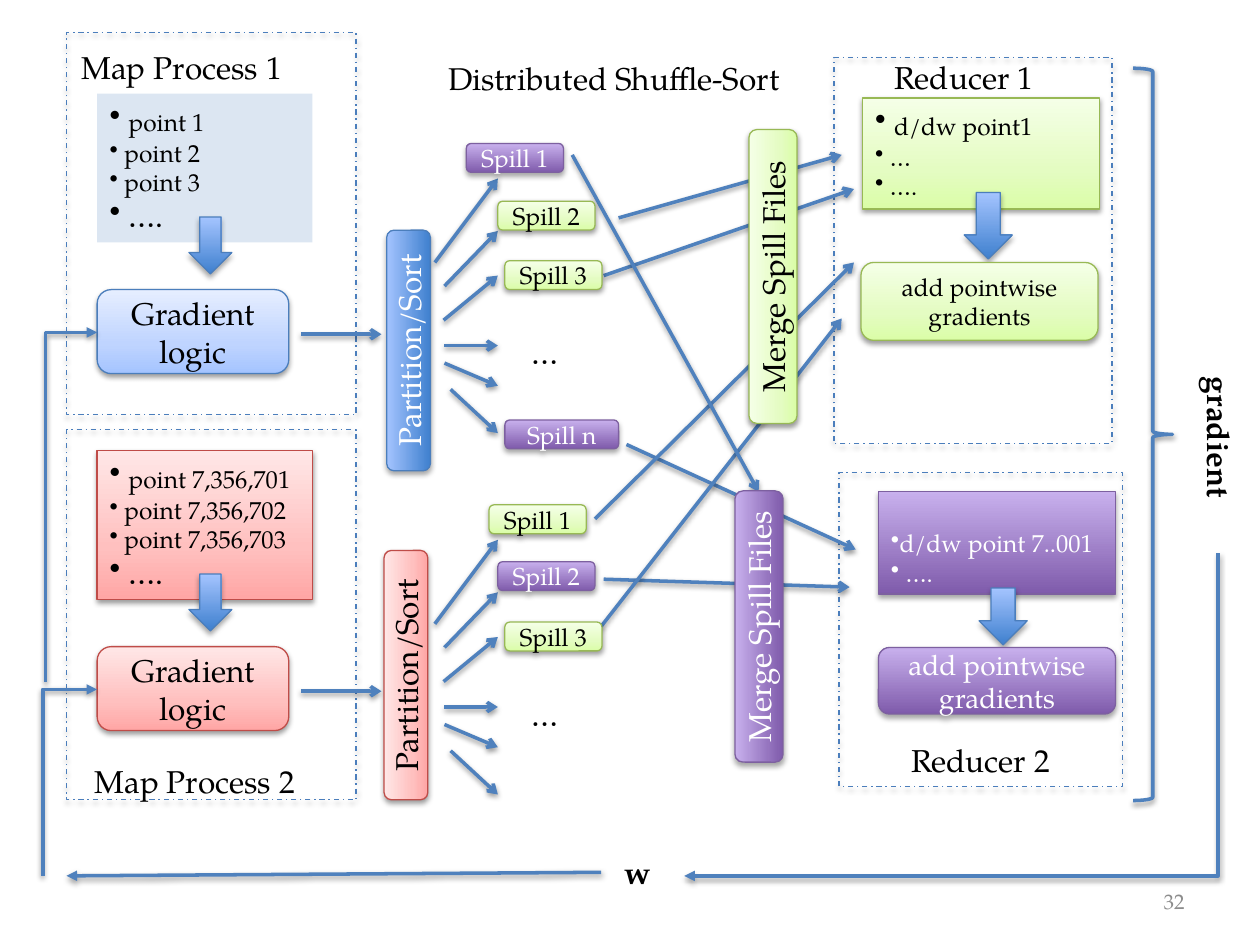
from lxml.etree import SubElement
from pptx import Presentation
from pptx.dml.color import RGBColor
from pptx.enum.dml import MSO_LINE
from pptx.enum.shapes import MSO_CONNECTOR, MSO_SHAPE
from pptx.enum.text import MSO_ANCHOR, MSO_AUTO_SIZE, PP_ALIGN
from pptx.oxml.ns import qn
from pptx.util import Pt

RECT, ROUND = MSO_SHAPE.RECTANGLE, MSO_SHAPE.ROUNDED_RECTANGLE
DOWN, BRACE = MSO_SHAPE.DOWN_ARROW, MSO_SHAPE.RIGHT_BRACE
STRAIGHT, ELBOW = MSO_CONNECTOR.STRAIGHT, MSO_CONNECTOR.ELBOW
DASH_DOT = MSO_LINE.DASH_DOT
TOP, MIDDLE = MSO_ANCHOR.TOP, MSO_ANCHOR.MIDDLE
LEFT, CENTER, RIGHT = PP_ALIGN.LEFT, PP_ALIGN.CENTER, PP_ALIGN.RIGHT
NO_FIT = MSO_AUTO_SIZE.NONE

COLORS = {"text": "000000", "white": "FFFFFF", "number": "8C8C8C", "arrow": "4F81BD",
          "frame": "4B7EBC", "pale": "DCE6F2", "red": "BF4C48", "green": "98B955",
          "purple": "7D60A0"}
GRADIENTS = {
    "blue": [(0, "3F80CE"), (100, "A4C4FF")],
    "purple": [(0, "7F5BAB"), (100, "C8B0ED")],
    "sky": [(0, "A4C4FF"), (35, "BFD4FF"), (100, "E6EEFF")],
    "red": [(0, "FFA6A5"), (35, "FFC0BF"), (100, "FFE7E7")],
    "green": [(0, "DAFDA7"), (35, "E4FCC2"), (100, "F5FFE7")],
}
EDGES = {"blue": "frame", "sky": "frame", "red": "red", "green": "green", "purple": "purple"}


class Diagram:
    """Draws the elements of one slide in a shared style."""

    font = "TeX Gyre Pagella"

    def __init__(self, slide):
        self.slide = slide
        self.shapes = slide.shapes

    def color(self, name):
        return RGBColor.from_string(COLORS[name])

    def shadow(self, s, strong=False):
        effects = SubElement(s._element.spPr, qn("a:effectLst"))
        shade = SubElement(effects, qn("a:outerShdw"), blurRad=str(Pt(3.1)),
                           dist=str(Pt(1.8 if strong else 1.6)), dir="5400000",
                           rotWithShape="0")
        clr = SubElement(shade, qn("a:srgbClr"), val=COLORS["text"])
        SubElement(clr, qn("a:alpha"), val="35000" if strong else "38000")

    def run(self, p, text, size, color="text", bold=False):
        r = p.add_run()
        r.text = text
        r.font.name, r.font.size, r.font.bold = self.font, Pt(size), bold
        r.font.color.rgb = self.color(color)

    def set_text(self, s, text, size=18, color="text", align=LEFT, anchor=TOP, wrap=True,
                 bold=False):
        tf = s.text_frame
        tf.word_wrap, tf.auto_size, tf.vertical_anchor = wrap, NO_FIT, anchor
        p = tf.paragraphs[0]
        p.alignment = align
        self.run(p, text, size, color, bold)

    def title(self, text, box):
        s = self.shapes.title
        s.left, s.top, s.width, s.height = map(Pt, box)
        self.set_text(s, text, wrap=False)

    def label(self, text, box, rotation=0, **style):
        s = self.shapes.add_textbox(*map(Pt, box))
        s.rotation = rotation
        self.set_text(s, text, **style)

    def outline(self, kind, box, color="frame", width=0.75, dash=None):
        s = self.shapes.add_shape(kind, *map(Pt, box))
        s.fill.background()
        s.line.color.rgb, s.line.width = self.color(color), Pt(width)
        if dash:
            s.line.dash_style = dash
        self.shadow(s, bool(dash))

    def block(self, kind, box, style):
        s = self.shapes.add_shape(kind, *map(Pt, box))
        if style == "pale":
            s.fill.solid()
            s.fill.fore_color.rgb = self.color(style)
            s.line.fill.background()
            s.shadow.inherit = False
            return s
        s.fill.gradient()
        s.fill.gradient_angle = 90
        stops = s._element.spPr.find(qn("a:gradFill")).find(qn("a:gsLst"))
        stops.clear()
        for position, value in GRADIENTS[style]:
            stop = SubElement(stops, qn("a:gs"), pos=str(position * 1000))
            SubElement(stop, qn("a:srgbClr"), val=value)
        s.line.color.rgb, s.line.width = self.color(EDGES[style]), Pt(0.75)
        self.shadow(s, style in ("blue", "purple"))
        return s

    def box(self, text, box, style, size=18):
        s = self.block(ROUND, box, style)
        ink = "white" if style in ("blue", "purple") else "text"
        self.set_text(s, text, size, ink, CENTER, MIDDLE)
        return s

    def bar(self, text, box, style):
        x, y, w, h = box
        s = self.box(text, (x + (w - h) / 2, y + (h - w) / 2, h, w), style)
        s.rotation = 270

    def bullets(self, lines, box, style, color="text", top=3.6):
        s = self.block(RECT, box, style)
        tf = s.text_frame
        tf.word_wrap, tf.auto_size, tf.vertical_anchor = True, NO_FIT, TOP
        tf.margin_top = Pt(top)
        for i, runs in enumerate(lines):
            p = tf.add_paragraph() if i else tf.paragraphs[0]
            p.alignment = LEFT
            SubElement(p._p.get_or_add_pPr(), qn("a:buChar"), char="•")
            for text, size in runs:
                self.run(p, text, size, color)

    def style_line(self, c, head):
        c.line.color.rgb, c.line.width = self.color("arrow"), Pt(2)
        SubElement(c.line._get_or_add_ln(), qn("a:tailEnd"), type=head)
        self.shadow(c)

    def arrow(self, x1, y1, x2, y2, head="arrow"):
        self.style_line(self.shapes.add_connector(STRAIGHT, *map(Pt, (x1, y1, x2, y2))), head)

    def elbow(self, x1, y1, x2, y2):
        cx, cy, w, h = (x1 + x2) / 2, (y1 + y2) / 2, y2 - y1, x1 - x2
        ends = (cx - w / 2, cy - h / 2, cx + w / 2, cy + h / 2)
        c = self.shapes.add_connector(ELBOW, *map(Pt, ends))
        c._element.spPr.xfrm.set("rot", "5400000")
        c._element.spPr.find(qn("a:prstGeom")).set("prst", "bentConnector2")
        self.style_line(c, "triangle")


def main():
    prs = Presentation()
    prs.slide_width, prs.slide_height = Pt(720), Pt(540)
    d = Diagram(prs.slides.add_slide(prs.slide_layouts[5]))
    d.title("Distributed Shuffle-Sort", (249, 30, 207.5, 29))

    for frame in [(38, 18.5, 165.5, 218.5), (38, 245.5, 165.5, 211.5),
                  (476.5, 33, 159, 220.5), (479.5, 270, 162, 179.5)]:
        d.outline(RECT, frame, dash=DASH_DOT)

    maps = [("pale", "sky", ("1", "2", "3")),
            ("red", "red", ("7,356,701", "7,356,702", "7,356,703"))]
    for i, (list_style, logic_style, (first, *others)) in enumerate(maps):
        y = 204 * i
        lines = [[(" ", 18), (f"point {first}", 14)]]
        lines += [[(f" point {n}", 14)] for n in others] + [[(" ….", 18)]]
        d.bullets(lines, (55.5, 53.5 + y, 123, 85), list_style)
        d.block(DOWN, (108, 124 + y, 24.5, 32.5), "blue")
        d.box("Gradient logic", (55.5, 165.5 + y, 109.5, 48), logic_style)
        d.arrow(172, 191 + y, 218, 191 + y)
    d.label("Map Process 1", (39.5, 24, 180.5, 29))
    d.label("Map Process 2", (47, 432, 180.5, 29))

    d.bullets([[(" ", 18), ("d/dw point1", 14)], [(" …", 14)], [(" ….", 14)]],
              (493, 56, 135.5, 63.5), "green")
    d.block(DOWN, (551, 110, 27.5, 38), "blue")
    d.box("add pointwise gradients", (492, 150, 135.5, 44.5), "green", 14)
    d.label("Reducer 1", (504, 29.5, 95, 29), wrap=False)
    d.bullets([[("d/dw point 7..001", 14)], [(" ….", 14)]],
              (502, 281, 135.5, 58.5), "purple", "white", top=21)
    d.block(DOWN, (559.5, 336, 27.5, 32.5), "blue")
    d.box("add pointwise gradients", (502, 370, 135.5, 38), "purple", 16)
    d.label("Reducer 2", (513.5, 420, 95, 29), wrap=False)

    for ends in [(358, 254, 489, 314), (345, 331, 485.5, 335.5), (353.5, 124.5, 481, 88.5),
                 (345, 157.5, 488, 108), (340, 296.5, 488, 150), (343.5, 358, 481, 182),
                 (327, 88.5, 433.5, 281)]:
        d.arrow(*ends)

    d.bar("Partition/Sort", (221, 131.5, 25, 137.5), "blue")
    d.bar("Partition/Sort", (219.5, 314.5, 25, 142.5), "red")
    fan = [(248.5, 150, 102), (254, 163.5, 132), (253.5, 183, 157.5),
           (254, 197.5, 197.5), (254, 207.5, 220.5), (257.5, 222.5, 247.5)]
    for y in (0, 206.5):
        for x, start, end in fan:
            d.arrow(x, start + y, 284.5, end + y)
        d.label("…", (296.5, 187 + y, 30, 19.5), wrap=False)
    for name, x, y, w, style in [
            ("1", 266.5, 82, 55.5, "purple"), ("2", 284.5, 115, 55.5, "green"),
            ("3", 288.5, 149, 55.5, "green"), ("n", 288.5, 240, 65, "purple"),
            ("1", 279.5, 288.5, 55.5, "green"), ("2", 284.5, 321, 55.5, "purple"),
            ("3", 288.5, 355.5, 55.5, "green")]:
        d.box(f"Spill {name}", (x, y, w, 16.5), style, 14)
    d.bar("Merge Spill Files", (428, 74, 27.5, 168), "green")
    d.bar("Merge Spill Files", (420, 280.5, 27.5, 155), "purple")

    d.outline(BRACE, (647.5, 39, 22.5, 418.5), "arrow", 2)
    d.label("gradient", (643, 247.5, 107.5, 29), rotation=90, bold=True)
    for ends in [(696, 316, 391, 500.5), (24.5, 500.5, 55.5, 394), (26, 389.5, 55.5, 190)]:
        d.elbow(*ends)
    d.label("w", (343.5, 484, 42, 29), align=CENTER, bold=True)
    d.arrow(343.5, 498.5, 38, 500.5, "triangle")
    d.label("32", (516, 500.5, 168, 29), size=12, color="number", align=RIGHT, anchor=MIDDLE)
    prs.save("out.pptx")


if __name__ == "__main__":
    main()
